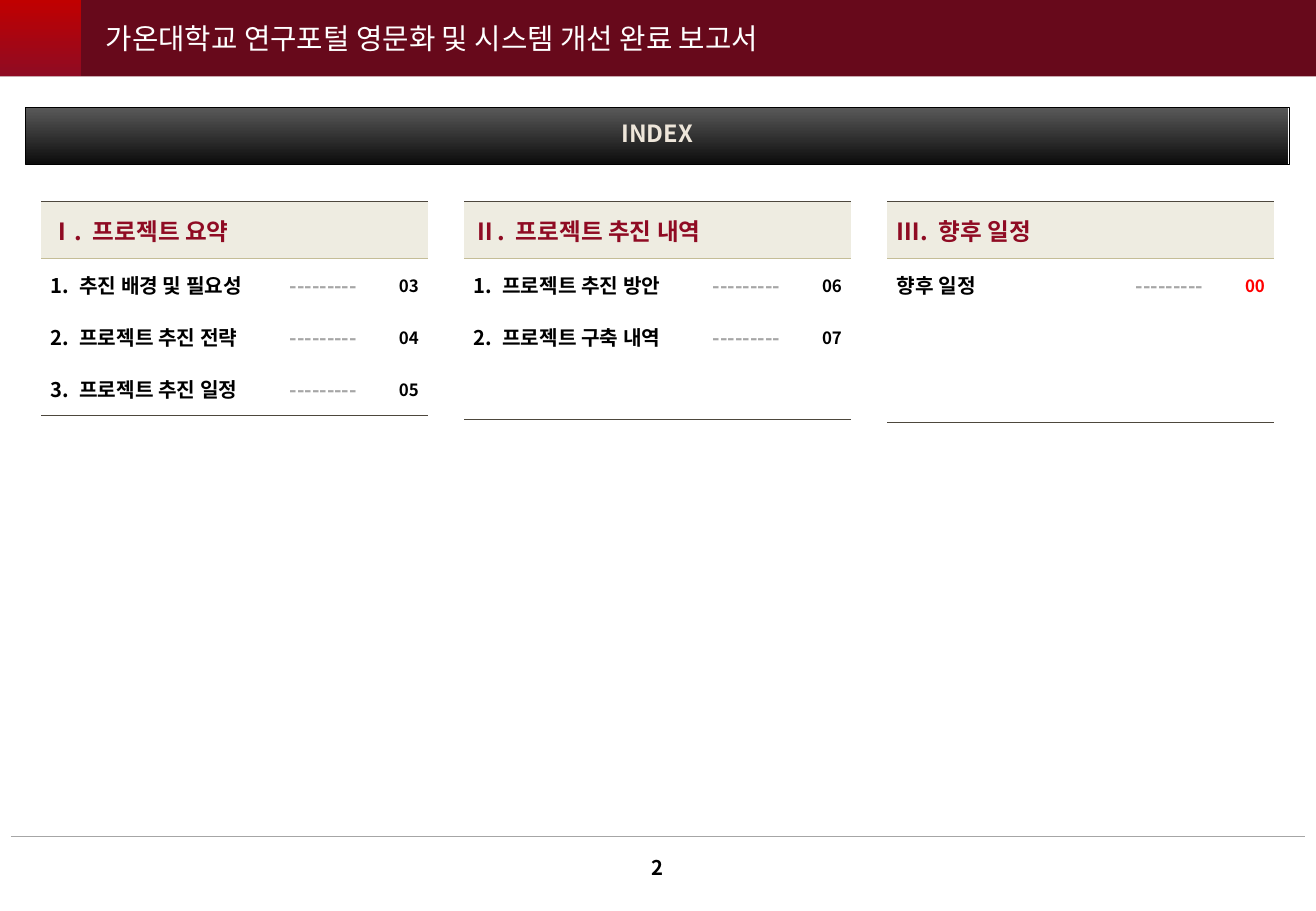
import lxml.etree
import pptx
import pptx.dml.color
import pptx.enum.shapes
import pptx.enum.text
import pptx.oxml.ns
import pptx.util

Cm = pptx.util.Cm
Pt = pptx.util.Pt
Align = pptx.enum.text.PP_ALIGN
Anchor = pptx.enum.text.MSO_ANCHOR
qn = pptx.oxml.ns.qn

FONT = "Noto Sans CJK KR"
CRIMSON, DARK_LINE, TAN_LINE, GREY = "8F0B23", "4D473D", "C4BD97", "A6A6A6"


def color(value):
    return pptx.dml.color.RGBColor.from_string(value)


def write_text(frame, text, size=12, ink="000000", bold=True, align=Align.LEFT,
               before=0, hanging=0):
    """Fill the frame with one paragraph; hanging is the indent in cm after a number."""
    frame.word_wrap = True
    paragraph = frame.paragraphs[0]
    paragraph.alignment = align
    paragraph.space_before = Pt(before)
    if hanging:
        properties = paragraph._p.get_or_add_pPr()
        properties.set("marL", str(Cm(hanging)))
        properties.set("indent", str(-Cm(hanging)))
    run = paragraph.add_run()
    run.text = text
    run.font.name = FONT
    run.font.size = Pt(size)
    run.font.bold = bold
    run.font.color.rgb = color(ink)
    east_asian = lxml.etree.SubElement(run._r.get_or_add_rPr(), qn("a:ea"))
    east_asian.set("typeface", FONT)


presentation = pptx.Presentation()
presentation.slide_width = Cm(27.53)
presentation.slide_height = Cm(19.05)
slide = presentation.slides.add_slide(presentation.slide_layouts[6])

# Header band, its accent square, the index bar and the bar's frame
rectangles = [
    (0, 0, 27.53, 1.6, ["67091B"], None),
    (0, 0, 1.7, 1.6, ["C00000", CRIMSON], None),
    (0.53, 2.24, 26.42, 1.19, ["595959", "0D0D0D"], None),
    (0.53, 2.24, 26.44, 1.19, [], "000000"),
]
for left, top, width, height, fills, outline in rectangles:
    shape = slide.shapes.add_shape(pptx.enum.shapes.MSO_SHAPE.RECTANGLE,
                                   Cm(left), Cm(top), Cm(width), Cm(height))
    shape.shadow.inherit = False
    if len(fills) == 2:
        shape.fill.gradient()
        shape.fill.gradient_angle = 270
        for stop, fill in zip(shape.fill.gradient_stops, fills):
            stop.color.rgb = color(fill)
    elif fills:
        shape.fill.solid()
        shape.fill.fore_color.rgb = color(fills[0])
    else:
        shape.fill.background()
    if outline:
        shape.line.color.rgb = color(outline)
        shape.line.width = Pt(0.25)
    else:
        shape.line.fill.background()

footer_line = slide.shapes.add_connector(pptx.enum.shapes.MSO_CONNECTOR.STRAIGHT,
                                         Cm(0.23), Cm(17.48), Cm(27.3), Cm(17.48))
footer_line.line.color.rgb = color(GREY)
footer_line.line.width = Pt(0.25)
lxml.etree.SubElement(footer_line._element.spPr, qn("a:effectLst"))

# Title, index heading and page number
texts = [
    (1.96, 0, 20.09, 1.6, Anchor.MIDDLE, "가온대학교 연구포털 영문화 및 시스템 개선 완료 보고서",
     dict(size=17, ink="FFFFFF", bold=False)),
    (0.55, 2.24, 26.4, 1.09, Anchor.MIDDLE, "INDEX",
     dict(size=14, ink="EEE6DA", align=Align.CENTER, before=3.5)),
    (11.33, 17.73, 4.85, 0.61, Anchor.TOP, "2", dict(align=Align.CENTER)),
]
for left, top, width, height, anchor, text, text_format in texts:
    box = slide.shapes.add_textbox(Cm(left), Cm(top), Cm(width), Cm(height))
    frame = box.text_frame
    frame.vertical_anchor = anchor
    frame.margin_top = frame.margin_bottom = Cm(0.15)
    write_text(frame, text, **text_format)

# One table per chapter
chapters = [
    ("Ⅰ.\t프로젝트 요약", "000000",
     [("1.\t추진 배경 및 필요성", "03"), ("2.\t프로젝트 추진 전략", "04"),
      ("3.\t프로젝트 추진 일정", "05")]),
    ("Ⅱ.\t프로젝트 추진 내역", "000000",
     [("1.\t프로젝트 추진 방안", "06"), ("2.\t프로젝트 구축 내역", "07")]),
    ("Ⅲ.\t향후 일정", "FF0000", [("향후 일정", "00")]),
]
column_widths = [5, 2, 1.1]
heading_height, entry_height, empty_height = 1.19, 1.09, 1.17
last_row = 3

for chapter_index, (heading, page_ink, entries) in enumerate(chapters):
    heights = [heading_height] + [entry_height] * len(entries)
    heights += [empty_height] * (last_row - len(entries))
    table = slide.shapes.add_table(
        last_row + 1, len(column_widths), Cm(0.86 + 8.85 * chapter_index), Cm(4.22),
        Cm(sum(column_widths)), Cm(sum(heights))).table
    table.first_row = False
    table.horz_banding = False
    for column, width in zip(table.columns, column_widths):
        column.width = Cm(width)

    for row_index, height in enumerate(heights):
        table.rows[row_index].height = Cm(height)
        borders = {"a:lnL": None, "a:lnR": None, "a:lnT": None, "a:lnB": None}
        if row_index == 0:
            borders.update({"a:lnT": DARK_LINE, "a:lnB": TAN_LINE})
        elif row_index == 1:
            borders["a:lnT"] = TAN_LINE
        elif row_index == last_row:
            borders["a:lnB"] = DARK_LINE
        for cell in table.rows[row_index].cells:
            cell.vertical_anchor = Anchor.MIDDLE
            cell.margin_left = cell.margin_right = Cm(0.2)
            for tag, ink in borders.items():
                line = lxml.etree.SubElement(cell._tc.get_or_add_tcPr(), qn(tag))
                line.set("w", str(Pt(0.45)))
                if ink:
                    solid = lxml.etree.SubElement(line, qn("a:solidFill"))
                    lxml.etree.SubElement(solid, qn("a:srgbClr")).set("val", ink)
                else:
                    lxml.etree.SubElement(line, qn("a:noFill"))
            if row_index == 0:
                cell.fill.solid()
                cell.fill.fore_color.rgb = color("EEECE1")
            else:
                cell.fill.background()

    table.cell(0, 0).merge(table.cell(0, 2))
    write_text(table.cell(0, 0).text_frame, heading, size=14, ink=CRIMSON,
               before=3.5, hanging=0.88)
    for row_index, (entry, page) in enumerate(entries, start=1):
        name_cell, leader_cell, page_cell = table.rows[row_index].cells
        write_text(name_cell.text_frame, entry, before=3,
                   hanging=0.6 if "\t" in entry else 0)
        write_text(leader_cell.text_frame, "---------", ink=GREY, before=3)
        write_text(page_cell.text_frame, page, size=10, ink=page_ink,
                   align=Align.RIGHT, before=2.5)

presentation.save("out.pptx")
